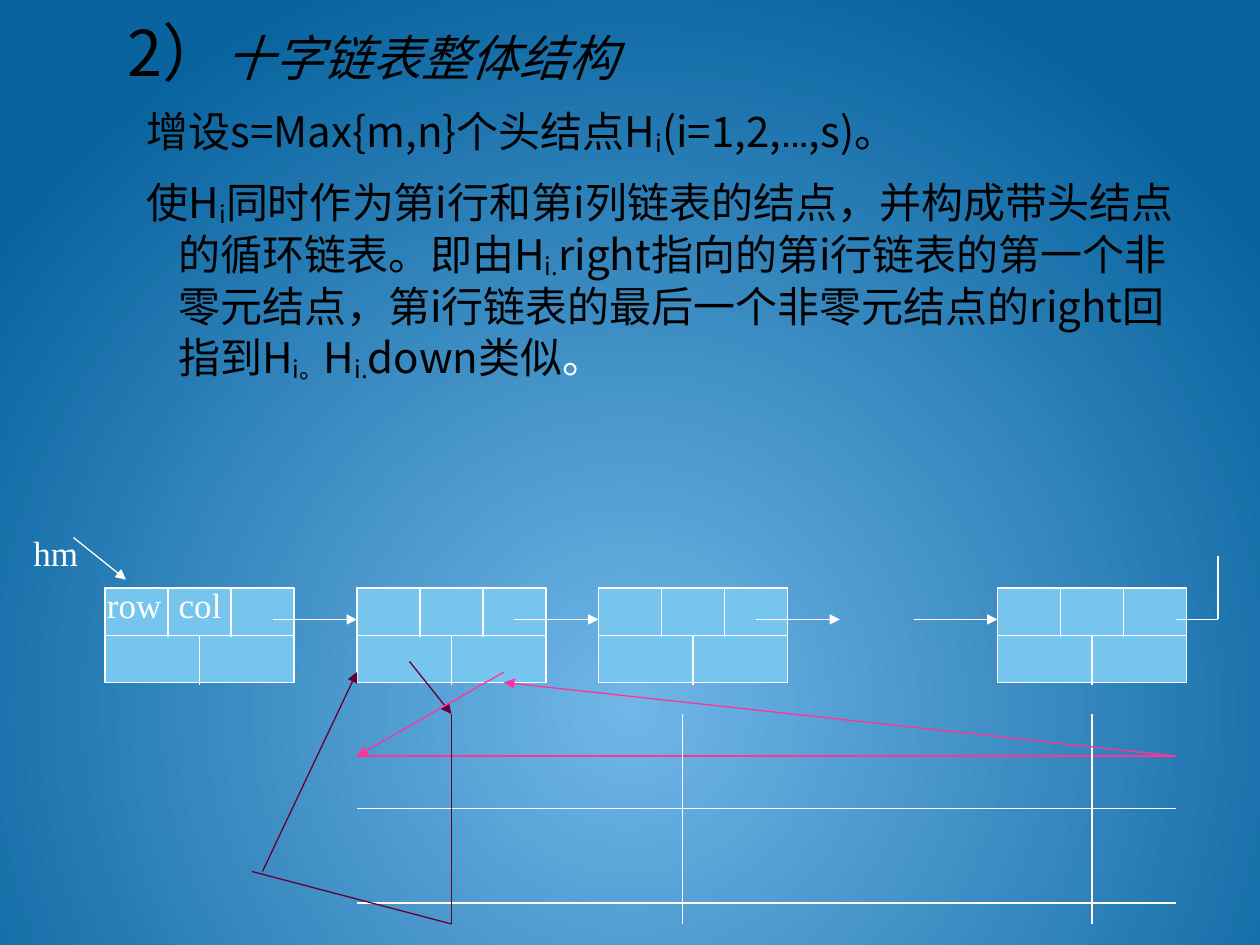
import pptx
import pptx.dml.color
import pptx.enum.shapes
import pptx.enum.text
import pptx.oxml
import pptx.oxml.ns
import pptx.util

WHITE, BLACK, PINK, PLUM = "FFFFFF", "000000", "FF3399", "660033"
SANS, SLAB, TIMES = "Noto Sans CJK SC", "Roboto Slab", "Times New Roman"
COLS, ROWS = 120, 90
WIDE, HIGH = pptx.util.Inches(10), pptx.util.Inches(7.5)


def hue(text):
    """Turn a hex string into a colour."""
    return pptx.dml.color.RGBColor.from_string(text)


def across(col):
    """Give the length of a number of grid columns."""
    return round(WIDE * col / COLS)


def down(row):
    """Give the length of a number of grid rows."""
    return round(HIGH * row / ROWS)


def node(tag, host, **keys):
    """Add an element of the drawing namespace to its host."""
    part = pptx.oxml.parse_xml(f"<{tag} {pptx.oxml.ns.nsdecls('a')}/>")
    for key, value in keys.items():
        part.set(key, str(value))
    host.append(part)
    return part


def paint(slide):
    """Fill the background with a round gradient."""
    fill = slide.background.fill
    fill.gradient()
    for stop, color, place in zip(fill.gradient_stops, ("70B6E8", "08639E"), (0, 1)):
        stop.color.rgb = hue(color)
        stop.position = place
    grad = slide.element.find(".//" + pptx.oxml.ns.qn("a:gradFill"))
    grad.remove(grad.find(pptx.oxml.ns.qn("a:lin")))
    ring = node("a:path", grad, path="circle")
    node("a:fillToRect", ring, l=50000, t=50000, r=50000, b=0)


def line(slide, x1, y1, x2, y2, color=WHITE, tip=False):
    """Draw a line between two grid points."""
    link = slide.shapes.add_connector(
        pptx.enum.shapes.MSO_CONNECTOR.STRAIGHT,
        across(x1), down(y1), across(x2), down(y2))
    link.line.color.rgb = hue(color)
    link.line.width = pptx.util.Pt(0.75)
    shape = link._element.spPr
    if tip:
        node("a:tailEnd", shape.find(pptx.oxml.ns.qn("a:ln")), type="triangle")
    node("a:effectLst", shape)
    return link


def cell(slide, col):
    """Draw a list node with three upper and two lower fields."""
    top, mid, end = 56, 60.5, 65
    box = slide.shapes.add_shape(
        pptx.enum.shapes.MSO_SHAPE.RECTANGLE,
        across(col), down(top), across(18), down(end - top))
    box.shadow.inherit = False
    box.fill.solid()
    box.fill.fore_color.rgb = hue("76C5EF")
    box.line.color.rgb = hue(WHITE)
    box.line.width = pptx.util.Pt(0.75)
    split = line(slide, col, mid, col + 18, mid)
    split.begin_connect(box, 1)
    split.end_connect(box, 3)
    for step in (6, 12):
        line(slide, col + step, top, col + step, mid + 0.2)
    line(slide, col + 9, mid, col + 9, end + 0.2)


def frame(slide, col, row, wide, high, wrap=True):
    """Add an empty text box and return its text frame."""
    box = slide.shapes.add_textbox(across(col), down(row), across(wide), down(high))
    box.text_frame.word_wrap = wrap
    box.text_frame.vertical_anchor = pptx.enum.text.MSO_ANCHOR.TOP
    return box.text_frame


def write(para, text, size, color=BLACK, face=SANS, slant=False, base=0):
    """Add one run to a paragraph."""
    run = para.add_run()
    run.text = text
    font = run.font
    font.size = pptx.util.Pt(size)
    font.color.rgb = hue(color)
    font.name = face
    font.italic = slant
    props = run._r.get_or_add_rPr()
    node("a:ea", props, typeface=SANS)
    if base:
        props.set("baseline", str(base * 1000))


def hang(para, first, before):
    """Set the hanging indent and spacing of a paragraph."""
    props = para._p.get_or_add_pPr()
    props.set("marL", str(pptx.util.Inches(0.4)))
    props.set("indent", str(pptx.util.Inches(first - 0.4)))
    para.space_before = pptx.util.Pt(before)
    para.space_after = pptx.util.Pt(6)


def body(slide):
    """Write the heading and the two paragraphs below it."""
    text = frame(slide, 11, 0.7, 102, 54)
    head = text.paragraphs[0]
    hang(head, 0, 0)
    write(head, "2）", 36)
    write(head, "十字链表整体结构", 28, slant=True)
    add = text.add_paragraph()
    hang(add, 0.15, 3.5)
    write(add, "增设s=Max{m,n}个头结点H", 24)
    write(add, "i", 24, base=-12)
    write(add, "(i=1,2,", 24)
    write(add, "…", 24, face=SLAB)
    write(add, ",s)。", 24)
    use = text.add_paragraph()
    hang(use, 0.15, 5)
    pairs = (
        ("使H", "i"),
        ("同时作为第i行和第i列链表的结点，并构成带头结点的循环链表。即由H", "i."),
        ("right指向的第i行链表的第一个非零元结点，"
         "第i行链表的最后一个非零元结点的right回指到H", "i。"),
        ("H", "i."),
    )
    for words, sub in pairs:
        write(use, words, 24)
        write(use, sub, 24, base=-12)
    write(use, "down类似", 24)
    write(use, "。", 24, WHITE)


def label(slide):
    """Name the head pointer and the first two fields."""
    para = frame(slide, 9, 55, 14, 5.2).paragraphs[0]
    tabs = node("a:tabLst", para._p.get_or_add_pPr())
    node("a:tab", tabs, pos=pptx.util.Inches(0.57), algn="l")
    write(para, "row\tcol", 20, WHITE, TIMES)
    para = frame(slide, 2, 50, 6.7, 5.2, False).paragraphs[0]
    write(para, "hm", 20, WHITE, TIMES)


def links(slide):
    """Draw the chain of heads and the row and column rings."""
    line(slide, 7, 51.2, 12, 55.2, tip=True)
    for col in (26, 49, 72, 87):
        line(slide, col, 59, col + 8, 59, tip=True)
    for row, color in ((72, PINK), (77, WHITE), (86, WHITE)):
        line(slide, 34, row, 112, row, color)
    for col, color in ((43, PLUM), (65, WHITE), (104, WHITE)):
        line(slide, col, 68, col, 88, color)
    line(slide, 39, 63, 43, 68, PLUM, True)
    line(slide, 48, 64, 34, 72, PINK, True)
    line(slide, 112, 72, 48, 65, PINK, True)
    line(slide, 43, 88, 24, 83, PLUM)
    line(slide, 25, 83, 34, 64, PLUM, True)
    line(slide, 112, 59, 116, 59)
    line(slide, 116, 59, 116, 53)


def main():
    """Build the slide and save it."""
    deck = pptx.Presentation()
    deck.slide_width, deck.slide_height = WIDE, HIGH
    slide = deck.slides.add_slide(deck.slide_layouts[6])
    paint(slide)
    body(slide)
    for col in (10, 34, 57, 95):
        cell(slide, col)
    links(slide)
    label(slide)
    deck.save("out.pptx")


if __name__ == "__main__":
    main()
